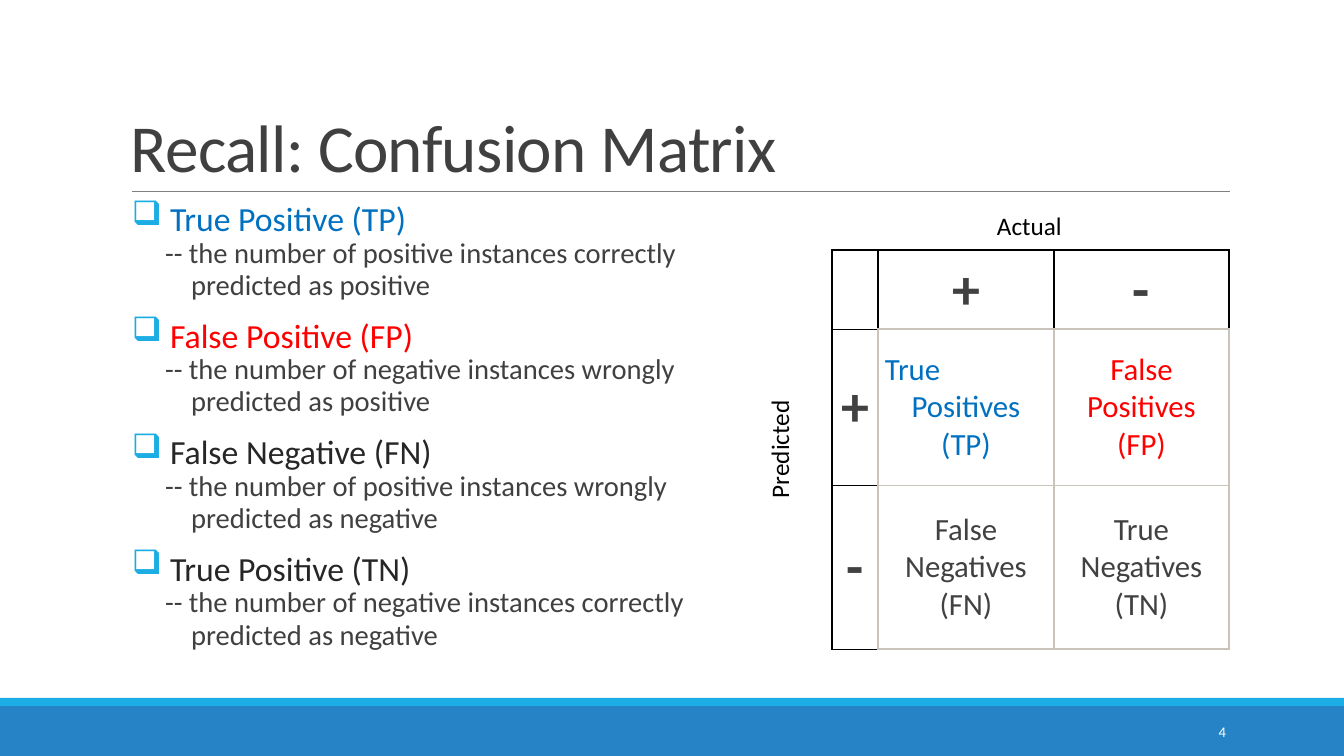
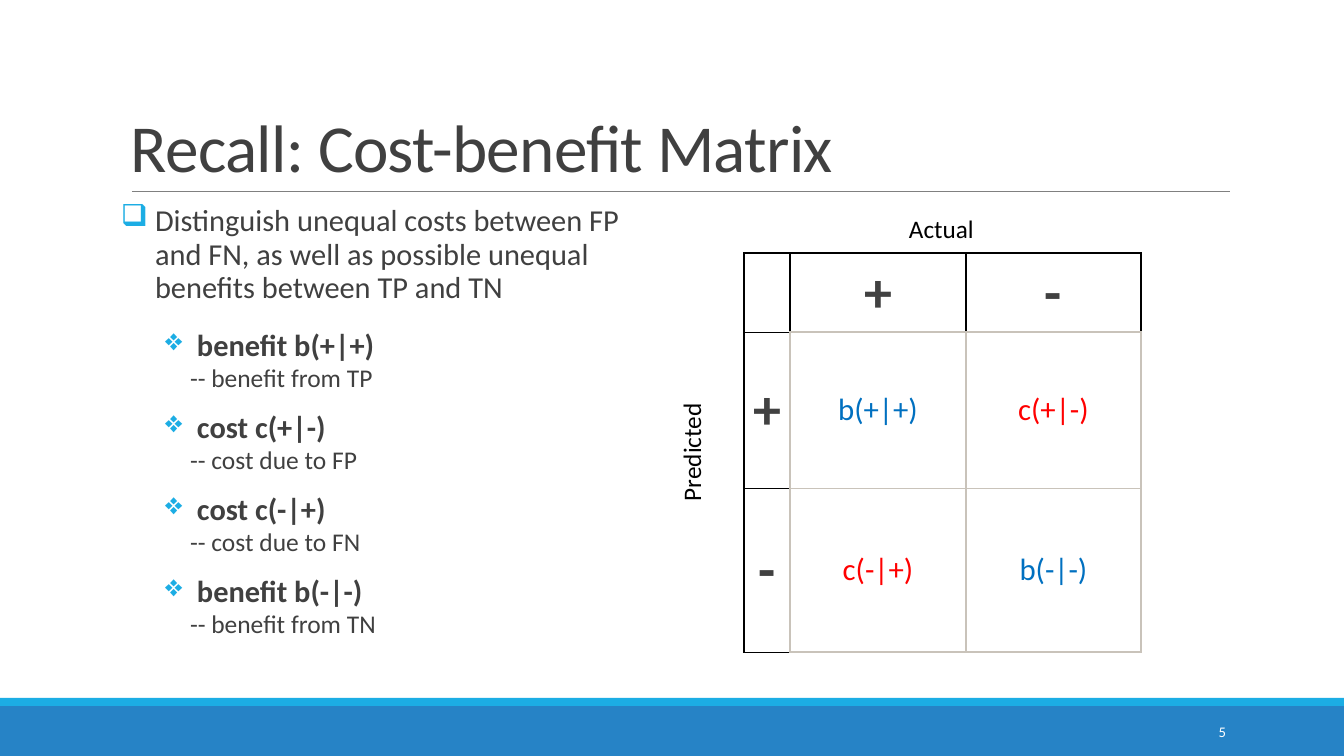
from dataclasses import dataclass

from lxml import etree
from pptx import Presentation
from pptx import util as u
from pptx.dml.color import RGBColor
from pptx.enum import shapes, text
from pptx.oxml import ns

EMU_PER_PX = 12192000 / 1344


@dataclass(frozen=True)
class Theme:
    font: str = "Calibri"
    band: str = "2683C6"
    accent: str = "1CADE4"
    rule: str = "808080"
    ink: str = "404040"
    dark: str = "262626"
    black: str = "000000"
    white: str = "FFFFFF"
    good: str = "0070C0"
    bad: str = "FF0000"
    sign: str = "414141"
    grid: str = "C9C3BA"
    title_size: float = 48
    heading_size: float = 24.1
    detail_size: float = 20.4
    lead_size: float = 21.7
    note_size: float = 18.2
    sign_size: float = 40
    cell_size: float = 22
    axis_size: float = 18
    number_size: float = 10.5


THEME = Theme()
CENTER, LEFT, RIGHT = text.PP_ALIGN.CENTER, text.PP_ALIGN.LEFT, text.PP_ALIGN.RIGHT
MIDDLE, TOP, BOTTOM = text.MSO_ANCHOR.MIDDLE, text.MSO_ANCHOR.TOP, text.MSO_ANCHOR.BOTTOM


def px(length):
    return u.Emu(round(length * EMU_PER_PX))


def color(value):
    return RGBColor.from_string(value)


def add_run(paragraph, words, size, ink, bold=False):
    run = paragraph.add_run()
    run.text = words
    run.font.name = THEME.font
    run.font.size = u.Pt(size)
    run.font.bold = bold
    run.font.color.rgb = color(ink)
    return run


def add_text_box(slide, box, margins=(10, 5), anchor=TOP, wrap=True):
    shape = slide.shapes.add_textbox(*map(px, box))
    frame = shape.text_frame
    frame.word_wrap = wrap
    frame.vertical_anchor = anchor
    frame.margin_left = frame.margin_right = px(margins[0])
    frame.margin_top = frame.margin_bottom = px(margins[1])
    return shape


def next_paragraph(frame, first):
    return frame.paragraphs[0] if first else frame.add_paragraph()


def set_indent(paragraph, left, hanging, bullet=None):
    """Set a hanging indent and, if given, an accent-coloured bullet."""
    properties = paragraph._p.get_or_add_pPr()
    properties.set("marL", str(px(left)))
    properties.set("indent", str(-px(hanging)))
    if bullet:
        bullet_color = etree.SubElement(properties, ns.qn("a:buClr"))
        etree.SubElement(bullet_color, ns.qn("a:srgbClr"), val=THEME.accent)
        etree.SubElement(properties, ns.qn("a:buChar"), char=bullet)
    else:
        etree.SubElement(properties, ns.qn("a:buNone"))


# Frame shared by the slides: bands, title, rule, number
def add_frame(slide, title, number):
    for box, fill in (((0, 706, 1344, 50), THEME.band), ((0, 698, 1344, 8), THEME.accent)):
        band = slide.shapes.add_shape(shapes.MSO_SHAPE.RECTANGLE, *map(px, box))
        band.shadow.inherit = False
        band.fill.solid()
        band.fill.fore_color.rgb = color(fill)
        band.line.fill.background()

    rule = slide.shapes.add_connector(
        shapes.MSO_CONNECTOR.STRAIGHT, px(132), px(191), px(1230), px(191))
    rule.line.color.rgb = color(THEME.rule)
    rule.line.width = u.Pt(0.5)
    etree.SubElement(rule._element.spPr, ns.qn("a:effectLst"))

    title_box = add_text_box(slide, (121, 31, 1109, 160), anchor=BOTTOM)
    paragraph = title_box.text_frame.paragraphs[0]
    paragraph.line_spacing = 0.85
    run = add_run(paragraph, title, THEME.title_size, THEME.ink)
    run.font._element.set("spc", "-50")

    number_box = add_text_box(slide, (1092, 712, 144, 40), anchor=MIDDLE)
    paragraph = number_box.text_frame.paragraphs[0]
    paragraph.alignment = RIGHT
    add_run(paragraph, str(number), THEME.number_size, THEME.white)


@dataclass(frozen=True)
class Level:
    """Paragraph style of one level in a list."""
    size: float
    left: int
    hanging: int
    spacing: float
    before: float = 0
    after: float = 0
    bullet: str = ""
    bold: bool = False


HEADING = Level(THEME.heading_size, 38, 38, 0.7, before=17, bullet="❑")
DETAIL = Level(THEME.detail_size, 59, 26, 0.94)
LEAD = Level(THEME.lead_size, 34, 34, 0.93, after=3, bullet="❑")
ITEM = Level(THEME.lead_size, 76, 32, 0.7, before=19, bullet="❖", bold=True)
NOTE = Level(THEME.note_size, 69, 0, 0.7, before=6)


# List on the left
def add_list(slide, box, entries):
    frame = add_text_box(slide, box, margins=(0, 0)).text_frame
    for index, (level, words, ink) in enumerate(entries):
        paragraph = next_paragraph(frame, index == 0)
        set_indent(paragraph, level.left, level.hanging, level.bullet)
        paragraph.line_spacing = level.spacing
        paragraph.space_before = u.Pt(level.before if index else 0)
        paragraph.space_after = u.Pt(level.after)
        add_run(paragraph, words, level.size, ink, level.bold)


def set_borders(cell, row, column):
    """Grey around the four value cells (thick outside), black elsewhere."""
    value_row, value_column = row > 0, column > 0
    inside = value_row and value_column
    thick, thin, black = (THEME.grid, 2), (THEME.grid, 1), (THEME.black, 1)
    edges = {
        "a:lnL": (thick if column == 1 else thin) if inside else black,
        "a:lnR": (thin if column == 1 else thick) if inside
        else thick if value_row else black,
        "a:lnT": (thick if row == 1 else thin) if inside else black,
        "a:lnB": (thin if row == 1 else thick) if inside
        else thick if value_column else black,
    }
    properties = cell._tc.get_or_add_tcPr()
    for position, (tag, (ink, width)) in enumerate(edges.items()):
        line = etree.Element(ns.qn(tag), w=str(u.Pt(width)))
        fill = etree.SubElement(line, ns.qn("a:solidFill"))
        etree.SubElement(fill, ns.qn("a:srgbClr"), val=ink)
        properties.insert(position, line)


# Two-by-two matrix with its axis names
def add_matrix(slide, left, top, values):
    columns, rows = (46, 176, 175), (79, 156, 164)
    table = slide.shapes.add_table(
        3, 3, px(left), px(top), px(sum(columns)), px(sum(rows))).table
    table.first_row = table.horz_banding = False
    for column, width in zip(table.columns, columns):
        column.width = px(width)
    for row, height in zip(table.rows, rows):
        row.height = px(height)

    signs = ["+", "-"]
    grid = [[None] + [([(sign, CENTER)], THEME.sign) for sign in signs]]
    for sign, value_row in zip(signs, values):
        grid.append([([(sign, CENTER)], THEME.sign)] + value_row)

    for row, contents in enumerate(grid):
        for column, content in enumerate(contents):
            cell = table.cell(row, column)
            cell.fill.background()
            set_borders(cell, row, column)
            cell.vertical_anchor = MIDDLE
            cell.margin_left = cell.margin_right = px(7)
            cell.margin_top = cell.margin_bottom = px(6)
            if content is None:
                continue
            lines, ink = content
            is_sign = row == 0 or column == 0
            size = THEME.sign_size if is_sign else THEME.cell_size
            for index, (words, alignment) in enumerate(lines):
                paragraph = next_paragraph(cell.text_frame, index == 0)
                paragraph.alignment = alignment
                add_run(paragraph, words, size, ink, is_sign)

    for words, x, y, width, angle in (("Actual", 159, -46, 77, 0),
                                      ("Predicted", -108, 178, 110, 270)):
        label = add_text_box(slide, (left + x, top + y, width, 42), (6, 6), MIDDLE, wrap=False)
        label.text_frame.auto_size = text.MSO_AUTO_SIZE.SHAPE_TO_FIT_TEXT
        label.rotation = angle
        add_run(label.text_frame.paragraphs[0], words, THEME.axis_size, THEME.black)


def value(words, ink):
    return [(words, CENTER)], ink


def add_confusion_slide(slide):
    add_frame(slide, "Recall: Confusion Matrix", 4)
    terms = [
        ("True Positive (TP)", THEME.good, "positive instances correctly predicted as positive"),
        ("False Positive (FP)", THEME.bad, "negative instances wrongly predicted as positive"),
        ("False Negative (FN)", THEME.dark, "positive instances wrongly predicted as negative"),
        ("True Positive (TN)", THEME.dark, "negative instances correctly predicted as negative"),
    ]
    entries = []
    for term, ink, meaning in terms:
        entries += [(HEADING, term, ink),
                    (DETAIL, f"-- the number of {meaning}", THEME.ink)]
    add_list(slide, (132, 209, 560, 476), entries)
    add_matrix(slide, 832, 250, [
        [([("True", LEFT), ("Positives (TP)", CENTER)], THEME.good),
         value("False Positives (FP)", THEME.bad)],
        [value("False Negatives (FN)", THEME.sign), value("True Negatives (TN)", THEME.sign)],
    ])


def add_cost_benefit_slide(slide):
    add_frame(slide, "Recall: Cost-benefit Matrix", 5)
    entries = [(LEAD, "Distinguish unequal costs between FP and FN, as well as "
                      "possible unequal benefits between TP and TN", THEME.ink)]
    for item, note in (("benefit b(+|+)", "benefit from TP"), ("cost c(+|-)", "cost due to FP"),
                       ("cost c(-|+)", "cost due to FN"), ("benefit b(-|-)", "benefit from TN")):
        entries += [(ITEM, item, THEME.ink), (NOTE, f"-- {note}", THEME.ink)]
    add_list(slide, (121, 204, 515, 481), entries)
    add_matrix(slide, 744, 253, [
        [value("b(+|+)", THEME.good), value("c(+|-)", THEME.bad)],
        [value("c(-|+)", THEME.bad), value("b(-|-)", THEME.good)],
    ])


def main():
    presentation = Presentation()
    presentation.slide_width, presentation.slide_height = px(1344), px(756)
    blank = presentation.slide_layouts[6]
    for build in (add_confusion_slide, add_cost_benefit_slide):
        build(presentation.slides.add_slide(blank))
    presentation.save("out.pptx")


if __name__ == "__main__":
    main()
